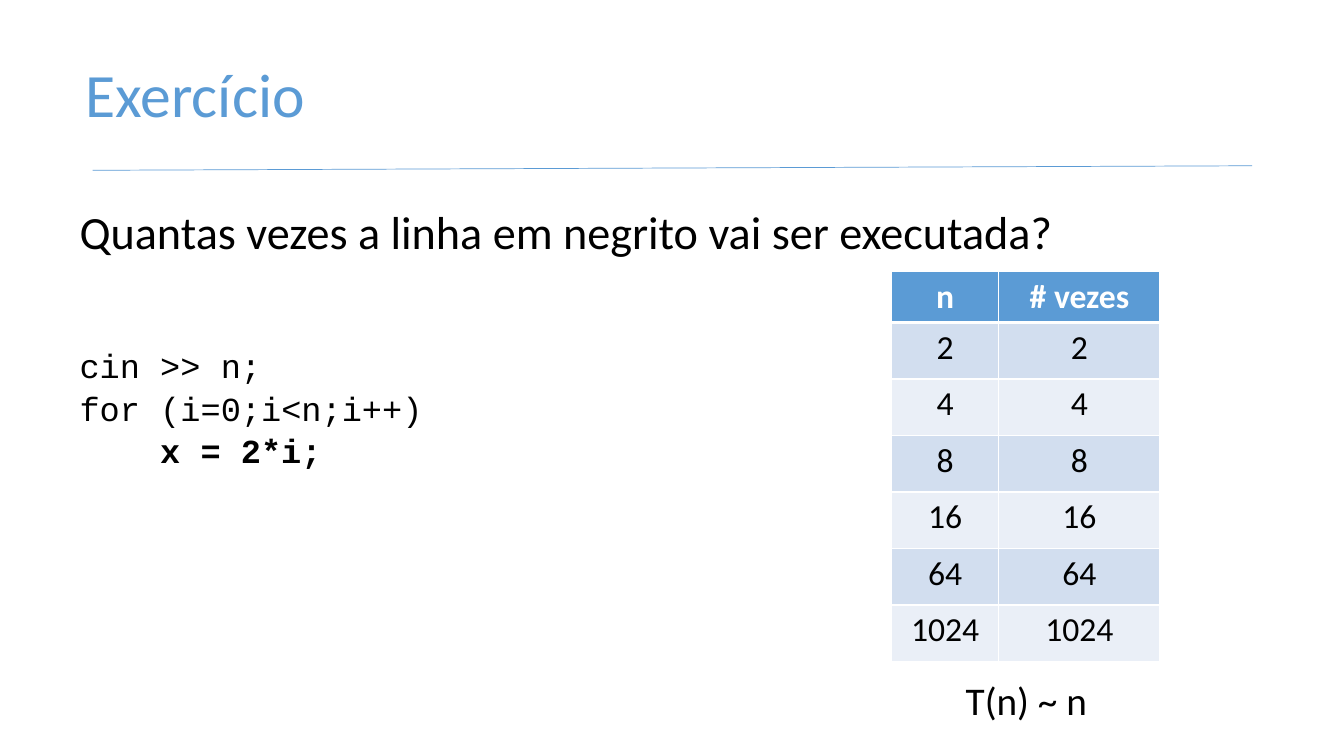
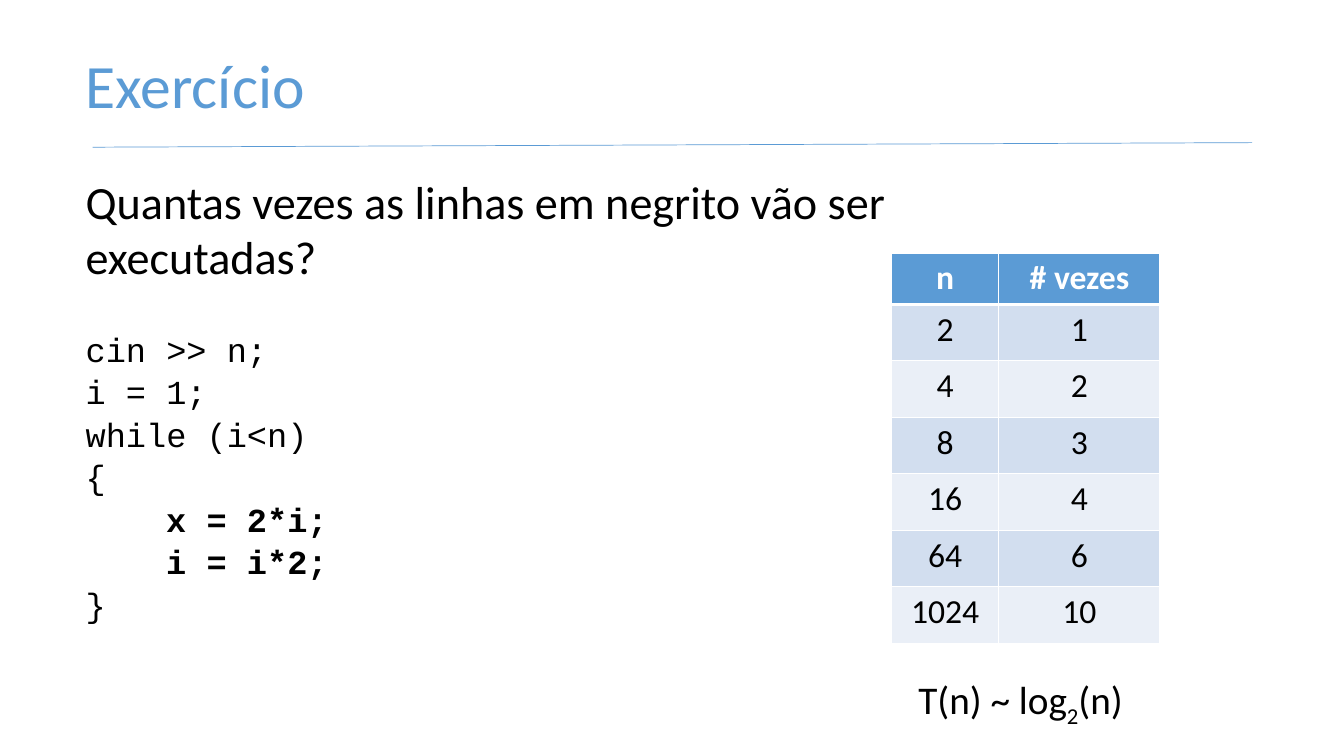
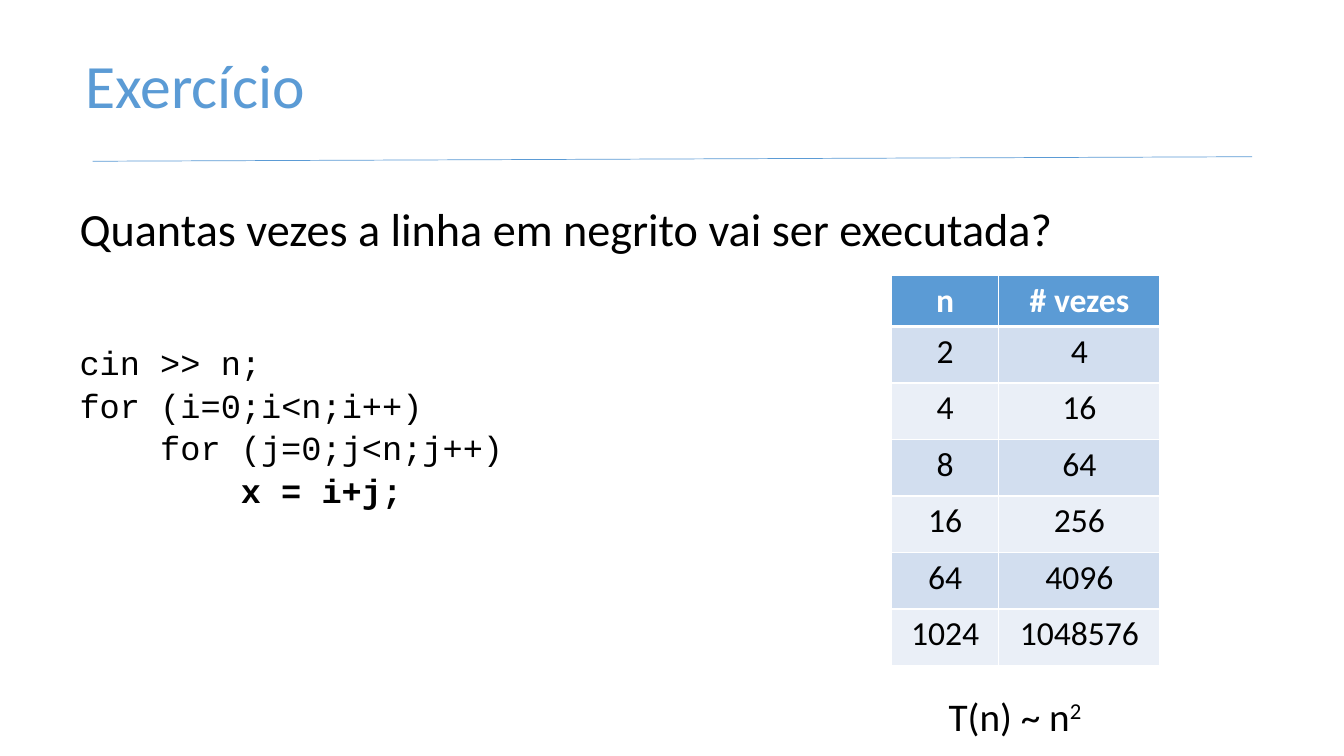
from lxml import etree
from pptx import Presentation, util as u
from pptx.dml.color import RGBColor
from pptx.enum import shapes, text
from pptx.oxml.ns import qn

# Shared look
BLUE = RGBColor(0x5B, 0x9B, 0xD5)
BAND_DARK = RGBColor(0xD2, 0xDE, 0xEF)
BAND_LIGHT = RGBColor(0xEA, 0xEF, 0xF7)
WHITE = RGBColor(0xFF, 0xFF, 0xFF)
BLACK = RGBColor(0, 0, 0)
SANS, MONO = "Calibri", "Courier New"
CODE_SIZE = 24
CODE_INDENT = u.Pt(4 * 0.6 * CODE_SIZE)  # four monospaced characters
BLANK_LINE = 30

presentation = Presentation()
presentation.slide_width = u.Inches(13.33)
presentation.slide_height = u.Inches(7.5)


def place(*shares):
    """Turn alternating x, y percentages of the slide into lengths."""
    sides = (presentation.slide_width, presentation.slide_height)
    return [u.Emu(int(share * sides[i % 2] / 100)) for i, share in enumerate(shares)]


def add_run(paragraph, words, size, color=BLACK, font=SANS, bold=False):
    run = paragraph.add_run()
    run.text = words
    run.font.size = u.Pt(size)
    run.font.name = font
    run.font.bold = bold
    run.font.color.rgb = color
    return run


# Content: code lines are (indent level, words, bold), formula runs (words, baseline)
SIZES = [2, 4, 8, 16, 64, 1024]
SINGULAR = "Quantas vezes a linha em negrito vai ser executada?"
exercises = [
    dict(title_top=6.53, rule_top=22.53, question=SINGULAR,
         body=(5.18, 26.27, 75.6, 69.2), blank_lines=2,
         code=[(0, "cin >> n;", False), (0, "for (i=0;i<n;i++)", False),
               (1, "x = 2*i;", True)],
         table_top=35.87, counts=SIZES,
         formula=[("T(n) ~ n", 0)], formula_box=(71.12, 88.8, 10.88, 7.6)),
    dict(title_top=5.33, rule_top=19.47,
         question="Quantas vezes as linhas em negrito vão ser executadas?",
         body=(5.63, 22.27, 75.6, 80.27), blank_lines=1,
         code=[(0, "cin >> n;", False), (0, "i = 1;", False),
               (0, "while (i<n)", False), (0, "{", False),
               (1, "x = 2*i;", True), (1, "i = i*2;", True), (0, "}", False)],
         table_top=33.47, counts=[1, 2, 3, 4, 6, 10],
         formula=[("T(n) ~ log", 0), ("2", -25000), ("(n)", 0)],
         formula_box=(67.59, 88.67, 17.48, 7.6)),
    dict(title_top=5.33, rule_top=21.33, question=SINGULAR,
         body=(5.18, 25.87, 75.6, 75.87), blank_lines=2,
         code=[(0, "cin >> n;", False), (0, "for (i=0;i<n;i++)", False),
               (1, "for (j=0;j<n;j++)", False), (2, "x = i+j;", True)],
         table_top=36.4, counts=[n * n for n in SIZES],
         formula=[("T(n) ~ n", 0), ("2", 30000)],
         formula_box=(69.84, 90.93, 12.98, 7.6)),
]

for exercise in exercises:
    slide = presentation.slides.add_slide(presentation.slide_layouts[6])

    # Title
    title = slide.shapes.add_textbox(*place(5.63, exercise["title_top"], 88, 12.8)).text_frame
    title.word_wrap = True
    title.vertical_anchor = text.MSO_ANCHOR.MIDDLE
    title.paragraphs[0].line_spacing = 0.9
    add_run(title.paragraphs[0], "Exercício", 44, BLUE)

    # Question and code
    body = slide.shapes.add_textbox(*place(*exercise["body"])).text_frame
    body.word_wrap = True
    question = body.paragraphs[0]
    question.space_after = u.Pt(exercise["blank_lines"] * BLANK_LINE)
    add_run(question, exercise["question"], 33)
    for level, words, bold in exercise["code"]:
        paragraph = body.add_paragraph()
        paragraph.space_before = u.Pt(1.6)
        properties = paragraph._p.get_or_add_pPr()
        properties.set("marL", str(level * CODE_INDENT))
        properties.set("indent", "0")
        add_run(paragraph, words, CODE_SIZE, font=MONO, bold=bold)

    # Table of counts
    rows = [("n", "# vezes"), *zip(SIZES, exercise["counts"])]
    table = slide.shapes.add_table(
        len(rows), 2, *place(66.32, exercise["table_top"], 20, 51.6)).table
    for column, share in zip(table.columns, (8, 12)):
        column.width = place(share)[0]
    for i, values in enumerate(rows):
        header = i == 0
        table.rows[i].height = place(0, 6.8 if header else 7.47)[1]
        for cell, value in zip(table.rows[i].cells, values):
            paragraph = cell.text_frame.paragraphs[0]
            paragraph.alignment = text.PP_ALIGN.CENTER
            add_run(paragraph, str(value), 24, WHITE if header else BLACK, bold=header)
            cell.fill.solid()
            cell.fill.fore_color.rgb = BLUE if header else (BAND_LIGHT, BAND_DARK)[i % 2]
            for position, side in enumerate(("lnL", "lnR", "lnT", "lnB")):
                thick = (header and side == "lnB") or (i == 1 and side == "lnT")
                border = etree.Element(qn("a:" + side), w=str(u.Pt(3 if thick else 1)))
                fill = etree.SubElement(border, qn("a:solidFill"))
                etree.SubElement(fill, qn("a:srgbClr"), val=str(WHITE))
                cell._tc.get_or_add_tcPr().insert(position, border)

    # Growth formula
    formula = slide.shapes.add_textbox(*place(*exercise["formula_box"])).text_frame
    formula.word_wrap = False
    formula.auto_size = text.MSO_AUTO_SIZE.SHAPE_TO_FIT_TEXT
    for words, baseline in exercise["formula"]:
        run = add_run(formula.paragraphs[0], words, 28)
        if baseline:
            run._r.get_or_add_rPr().set("baseline", str(baseline))

    # Rule under the title, rising slightly to the right
    rule_top = exercise["rule_top"]
    rule = slide.shapes.add_connector(
        shapes.MSO_CONNECTOR.STRAIGHT, *place(6.9, rule_top, 93.17, rule_top - 0.6))
    rule.line.color.rgb = BLUE
    rule.line.width = u.Pt(0.5)
    etree.SubElement(rule._element.spPr, qn("a:effectLst"))

presentation.save("out.pptx")
